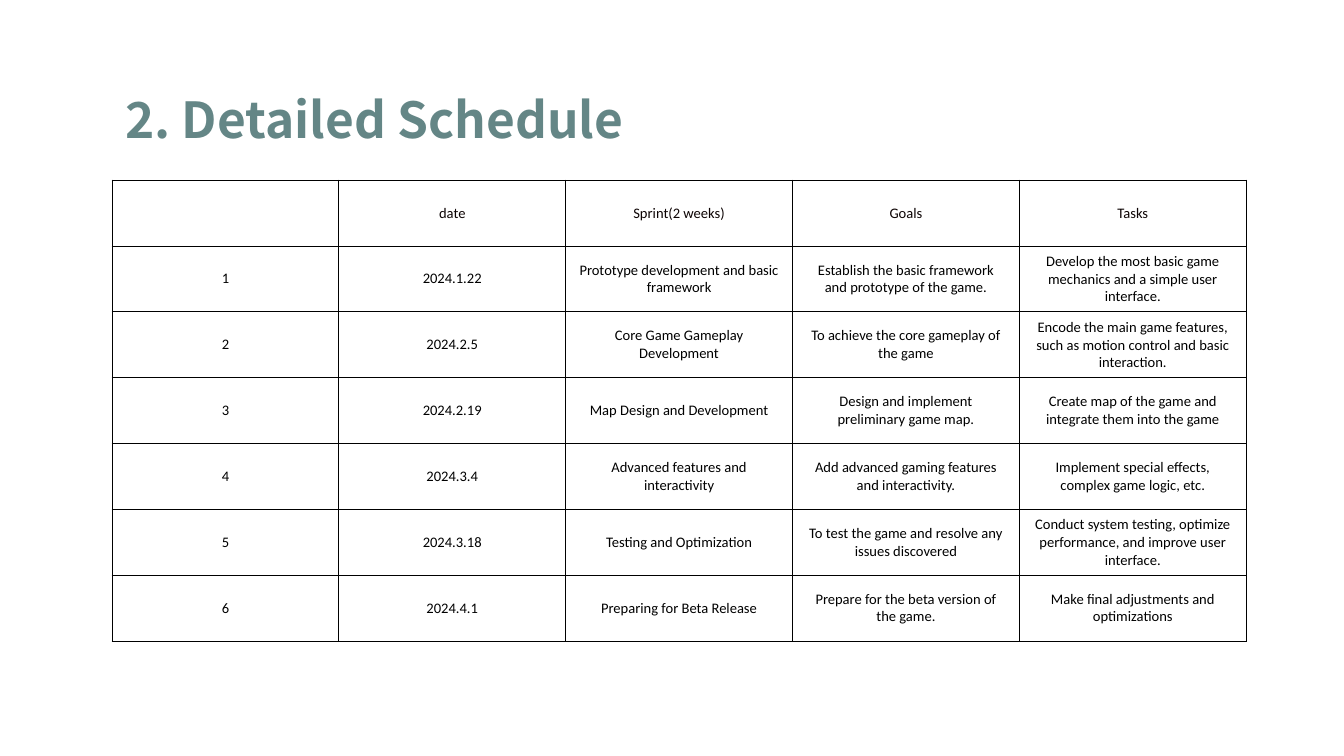
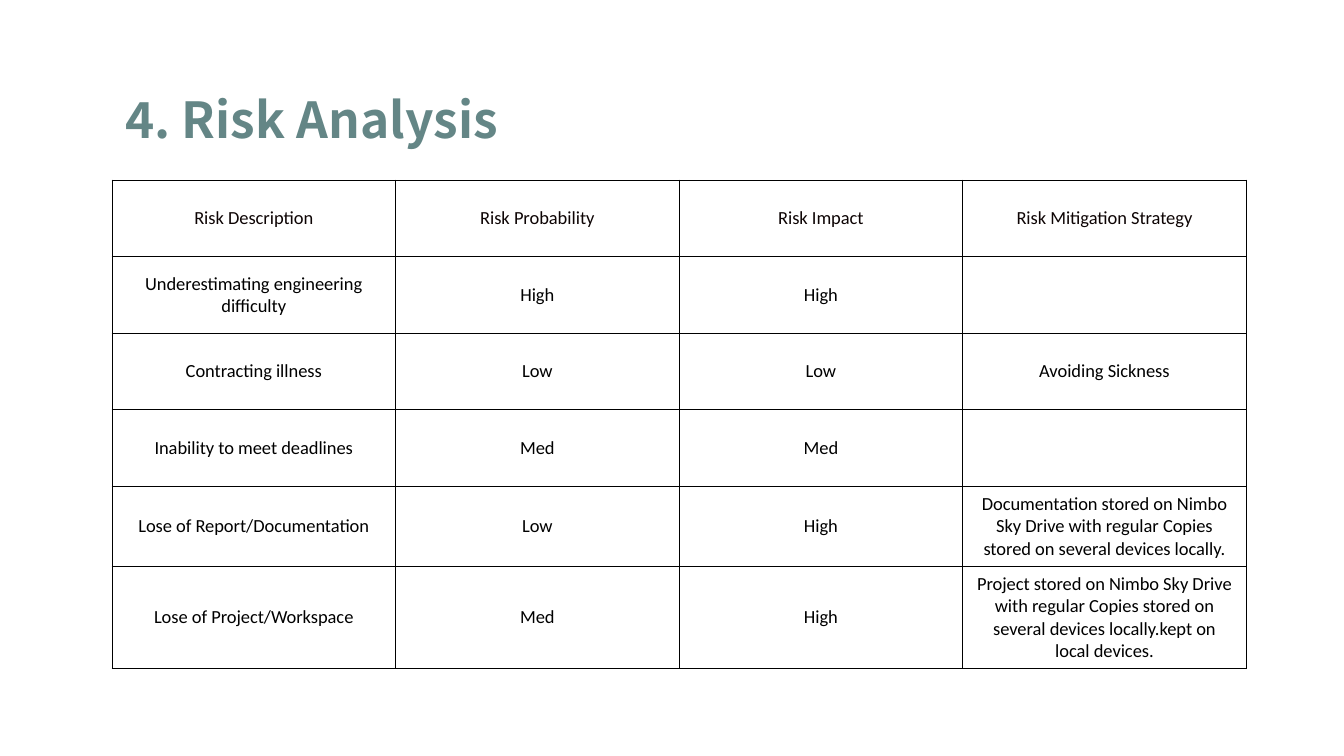
from lxml.etree import SubElement
from pptx import Presentation
from pptx.dml.color import RGBColor
from pptx.enum.text import MSO_ANCHOR as Anchor, PP_ALIGN as Align
from pptx.oxml.ns import qn
from pptx.util import Inches, Pt

COLORS = {"title": "648686", "header": "0D0404", "body": "000000",
          "border": "000000", "cell": "FFFFFF"}
TITLE_FONT = "Noto Sans CJK SC"
TABLE_FONT = "Calibri"
SLIDE_WIDTH = 10
SLIDE_HEIGHT = SLIDE_WIDTH * 9 / 16
LEFT = SLIDE_WIDTH / 12
TABLE_TOP = 1.34
TABLE_WIDTH = 8.44

SLIDES = [
    {
        "title": "2. Detailed Schedule",
        "size": 7.8,
        "row_height": 0.49,
        "rows": [
            ("", "date", "Sprint(2 weeks)", "Goals", "Tasks"),
            ("1", "2024.1.22", "Prototype development and basic framework",
             "Establish the basic framework and prototype of the game.",
             "Develop the most basic game mechanics and a simple user interface."),
            ("2", "2024.2.5", "Core Game Gameplay Development",
             "To achieve the core gameplay of the game",
             "Encode the main game features, such as motion control and basic interaction."),
            ("3", "2024.2.19", "Map Design and Development",
             "Design and implement preliminary game map.",
             "Create map of the game and integrate them into the game"),
            ("4", "2024.3.4", "Advanced features and interactivity",
             "Add advanced gaming features and interactivity.",
             "Implement special effects, complex game logic, etc."),
            ("5", "2024.3.18", "Testing and Optimization",
             "To test the game and resolve any issues discovered",
             "Conduct system testing, optimize performance, and improve user interface."),
            ("6", "2024.4.1", "Preparing for Beta Release",
             "Prepare for the beta version of the game.",
             "Make final adjustments and optimizations"),
        ],
    },
    {
        "title": "4. Risk Analysis",
        "size": 9.9,
        "row_height": 0.57,
        "rows": [
            ("Risk Description", "Risk Probability", "Risk Impact", "Risk Mitigation Strategy"),
            ("Underestimating engineering difficulty", "High", "High", ""),
            ("Contracting illness", "Low", "Low", "Avoiding Sickness"),
            ("Inability to meet deadlines", "Med", "Med", ""),
            ("Lose of Report/Documentation", "Low", "High",
             "Documentation stored on Nimbo Sky Drive with regular Copies "
             "stored on several devices locally."),
            ("Lose of Project/Workspace", "Med", "High",
             "Project stored on Nimbo Sky Drive with regular Copies stored on "
             "several devices locally.kept on local devices."),
        ],
    },
]


def style_text(paragraph, font_name, size, color, bold=False):
    paragraph.font.name = font_name
    paragraph.font.size = Pt(size)
    paragraph.font.bold = bold
    paragraph.font.color.rgb = RGBColor.from_string(COLORS[color])


def style_cell(cell):
    properties = cell._tc.get_or_add_tcPr()
    for side in ("a:lnL", "a:lnR", "a:lnT", "a:lnB"):
        line = SubElement(properties, qn(side), w=str(Pt(0.5)))
        line_fill = SubElement(line, qn("a:solidFill"))
        SubElement(line_fill, qn("a:srgbClr"), val=COLORS["border"])
    cell.fill.solid()
    cell.fill.fore_color.rgb = RGBColor.from_string(COLORS["cell"])
    cell.vertical_anchor = Anchor.MIDDLE


presentation = Presentation()
presentation.slide_width = Inches(SLIDE_WIDTH)
presentation.slide_height = Inches(SLIDE_HEIGHT)

for content in SLIDES:
    slide = presentation.slides.add_slide(presentation.slide_layouts[6])

    title = slide.shapes.add_textbox(Inches(LEFT), Inches(0.58), Inches(8.54), Inches(0.6))
    title.text_frame.word_wrap = True
    title.text_frame.vertical_anchor = Anchor.MIDDLE
    paragraph = title.text_frame.paragraphs[0]
    paragraph.text = content["title"]
    style_text(paragraph, TITLE_FONT, 26.6, "title", bold=True)

    rows = content["rows"]
    table = slide.shapes.add_table(
        len(rows), len(rows[0]), Inches(LEFT), Inches(TABLE_TOP),
        Inches(TABLE_WIDTH), Inches(content["row_height"] * len(rows))).table
    table.first_row = False
    table.horz_banding = False

    for row_index, row in enumerate(rows):
        for column_index, text in enumerate(row):
            cell = table.cell(row_index, column_index)
            style_cell(cell)
            paragraph = cell.text_frame.paragraphs[0]
            paragraph.text = text
            paragraph.alignment = Align.CENTER
            style_text(paragraph, TABLE_FONT, content["size"],
                       "body" if row_index else "header")

presentation.save("out.pptx")
